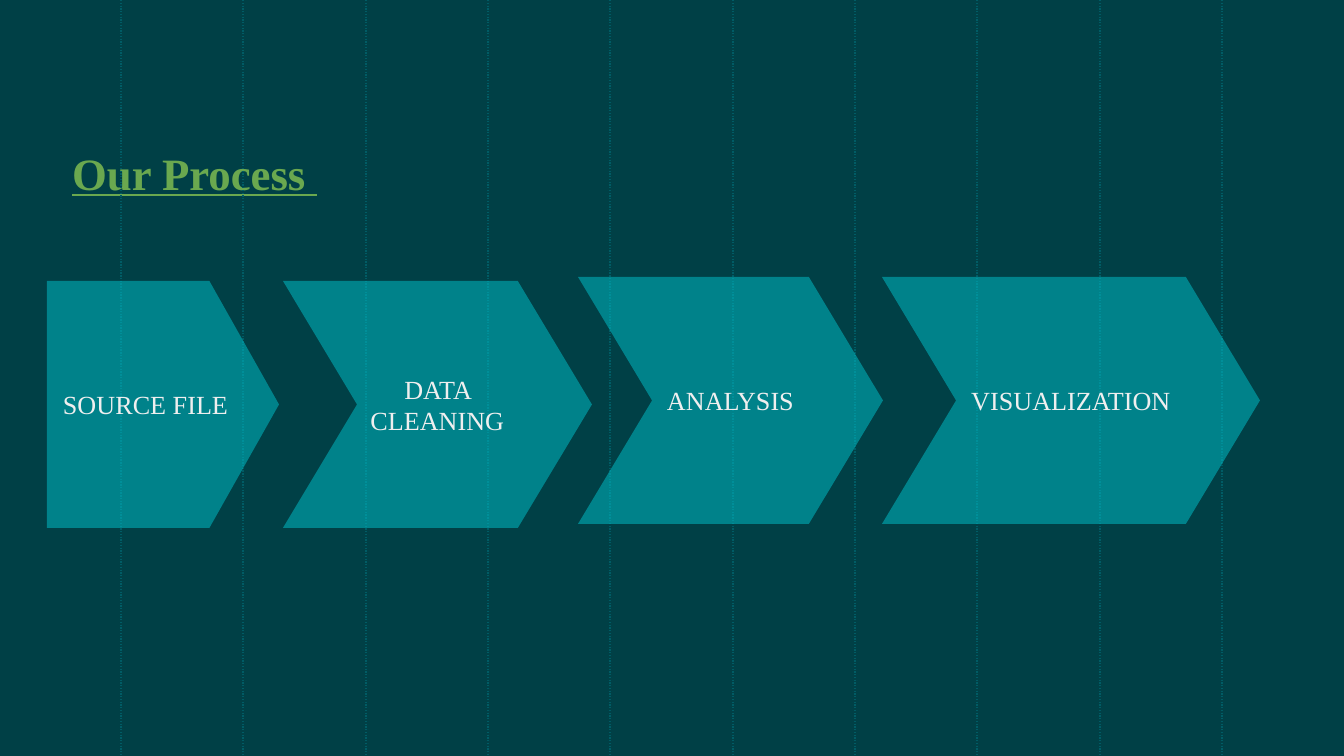
import pptx
import pptx.dml.color
import pptx.enum.dml
import pptx.enum.shapes
import pptx.enum.text
import pptx.oxml
import pptx.oxml.ns
import pptx.util
from dataclasses import dataclass

WIDTH, HEIGHT = 1344, 756
EMU_PER_PX = 914400 / 134.4
INSET = 13
GUIDE_COUNT, FIRST_GUIDE, LAST_GUIDE = 10, 121, 1222
STEP_HEIGHT = 247
STEPS = [
    ("SOURCE FILE", "PENTAGON", 47, 281, 232),
    ("DATA CLEANING", "CHEVRON", 283, 281, 309),
    ("ANALYSIS", "CHEVRON", 578, 277, 305),
    ("VISUALIZATION", "CHEVRON", 882, 277, 378),
]


@dataclass(frozen=True)
class Theme:
    """Colours and type of the slide."""
    background: str = "004046"
    guide: str = "005C65"
    title: str = "6AA84F"
    step: str = "00BFC9"
    step_opacity: int = 52
    label: str = "EFEFEF"
    font: str = "Times New Roman"
    title_size: int = 24
    label_size: int = 14


THEME = Theme()


def px(length):
    """Turn pixels into EMU."""
    return pptx.util.Emu(round(length * EMU_PER_PX))


def rgb(value):
    """Turn a hex string into a colour."""
    return pptx.dml.color.RGBColor.from_string(value)


def set_text(box, text, size, color, anchor, align, bold=False):
    """Write one formatted paragraph into a shape."""
    frame = box.text_frame
    frame.text = text
    frame.word_wrap = True
    frame.auto_size = pptx.enum.text.MSO_AUTO_SIZE.NONE
    frame.vertical_anchor = anchor
    frame.margin_left = frame.margin_right = px(INSET)
    frame.margin_top = frame.margin_bottom = px(INSET)
    para = frame.paragraphs[0]
    para.alignment = align
    font = para.runs[0].font
    font.name = THEME.font
    font.size = pptx.util.Pt(size)
    font.bold = font.underline = bold
    font.color.rgb = rgb(color)


def add_guide(page, x):
    """Draw one dotted vertical guide down the page."""
    guide = page.shapes.add_connector(
        pptx.enum.shapes.MSO_CONNECTOR.STRAIGHT, px(x), 0, px(x), px(HEIGHT))
    guide.line.color.rgb = rgb(THEME.guide)
    guide.line.width = pptx.util.Pt(0.75)
    guide.line.dash_style = pptx.enum.dml.MSO_LINE.ROUND_DOT
    properties = guide._element.spPr
    properties.append(pptx.oxml.parse_xml(
        f"<a:effectLst {pptx.oxml.ns.nsdecls('a')}/>"))


def add_title(page, text):
    """Place and format the title placeholder."""
    title = page.shapes.title
    title.left, title.top = px(59), px(110)
    title.width, title.height = px(870), px(102)
    set_text(title, text, THEME.title_size, THEME.title,
             pptx.enum.text.MSO_ANCHOR.BOTTOM,
             pptx.enum.text.PP_ALIGN.LEFT, bold=True)


def add_step(page, label, kind, left, top, width):
    """Draw one translucent arrow of the process."""
    step = page.shapes.add_shape(
        pptx.enum.shapes.MSO_SHAPE[kind],
        px(left), px(top), px(width), px(STEP_HEIGHT))
    step.adjustments[0] = 0.3
    step.shadow.inherit = False
    step.line.fill.background()
    step.fill.solid()
    step.fill.fore_color.rgb = rgb(THEME.step)
    color = step._element.spPr.find(".//" + pptx.oxml.ns.qn("a:srgbClr"))
    color.append(pptx.oxml.parse_xml(
        f"<a:alpha {pptx.oxml.ns.nsdecls('a')} val='{THEME.step_opacity * 1000}'/>"))
    set_text(step, label, THEME.label_size, THEME.label,
             pptx.enum.text.MSO_ANCHOR.MIDDLE,
             pptx.enum.text.PP_ALIGN.CENTER)


def main():
    """Build and save the process slide."""
    deck = pptx.Presentation()
    deck.slide_width, deck.slide_height = px(WIDTH), px(HEIGHT)
    page = deck.slides.add_slide(deck.slide_layouts.get_by_name("Title Only"))
    page.background.fill.solid()
    page.background.fill.fore_color.rgb = rgb(THEME.background)
    pitch = (LAST_GUIDE - FIRST_GUIDE) / (GUIDE_COUNT - 1)
    for index in range(GUIDE_COUNT):
        add_guide(page, round(FIRST_GUIDE + index * pitch))
    add_title(page, "Our Process ")
    for step in STEPS:
        add_step(page, *step)
    deck.save("out.pptx")


if __name__ == "__main__":
    main()
